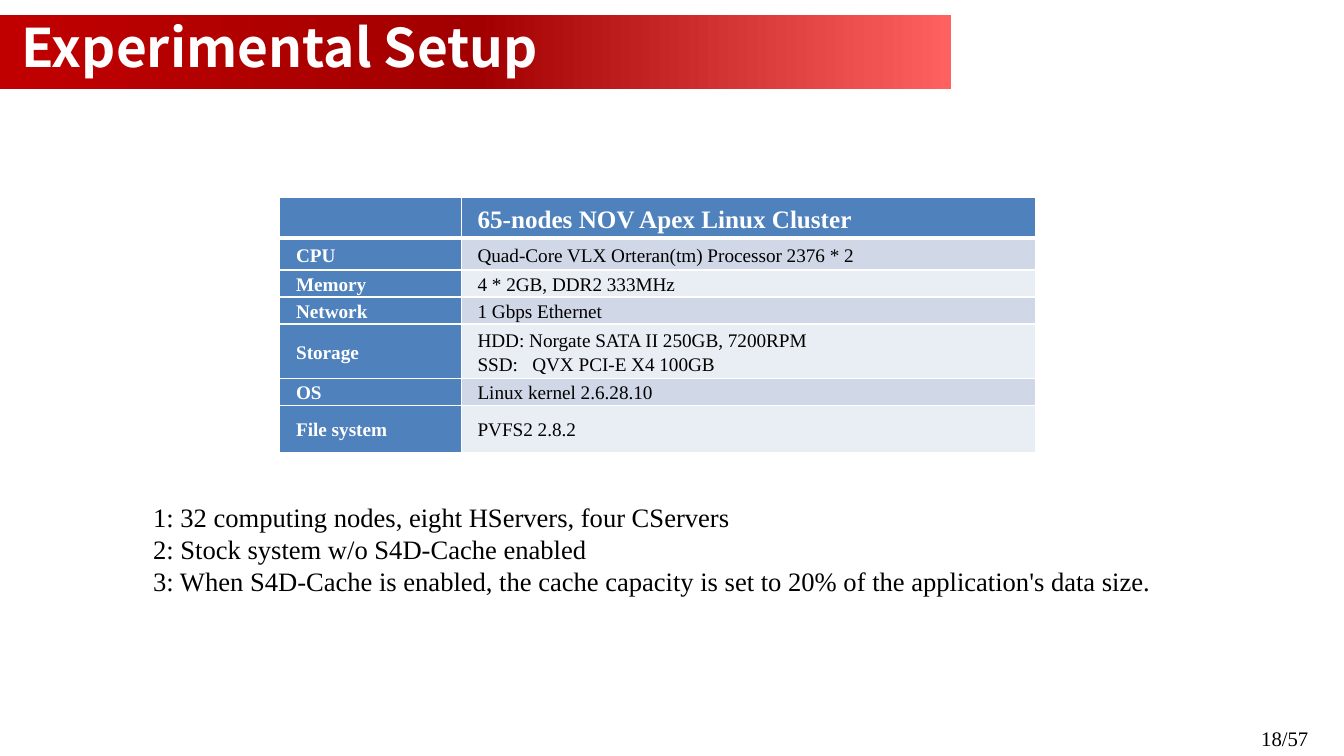
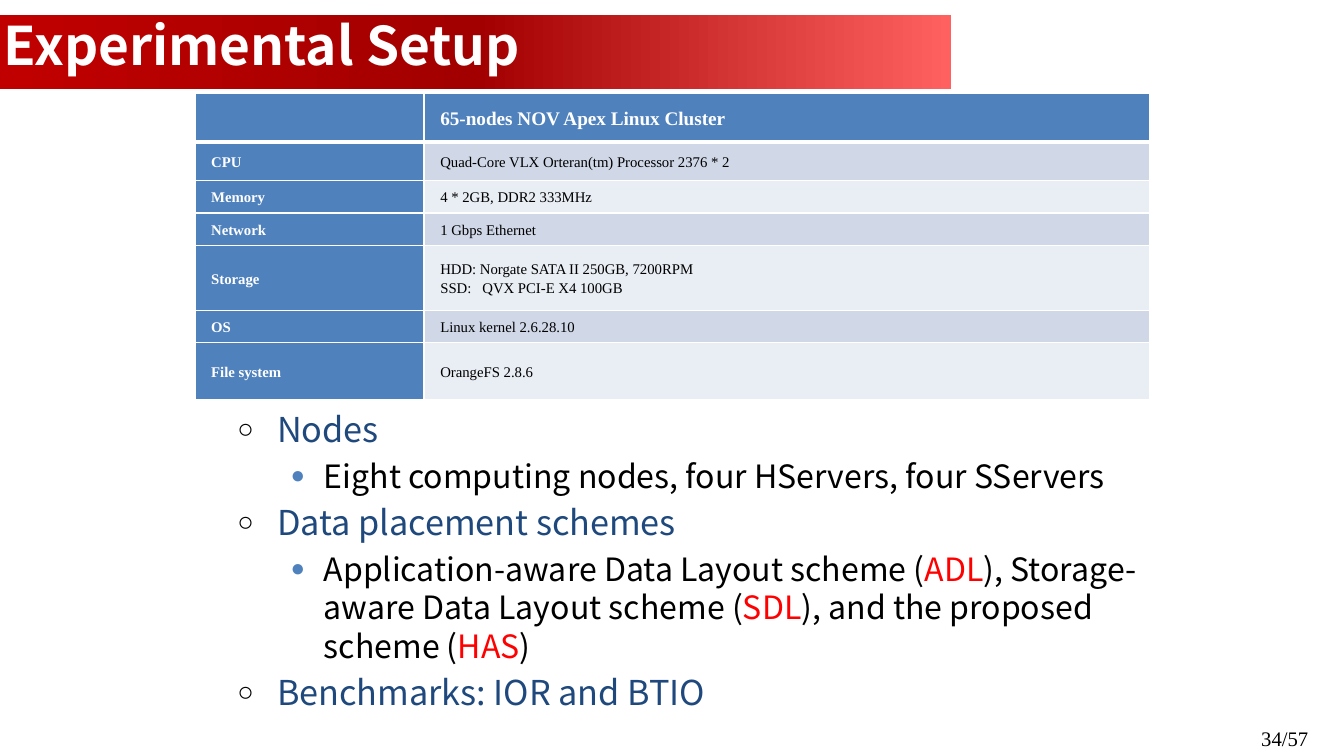
from lxml import etree
from pptx import Presentation
from pptx.dml.color import RGBColor
from pptx.enum import text as t
from pptx.oxml import ns
from pptx.util import Pt

WHITE = RGBColor(0xFF, 0xFF, 0xFF)
BLACK = RGBColor(0, 0, 0)
RED = RGBColor(0xFF, 0, 0)
NAVY = RGBColor(0x1F, 0x49, 0x7D)
BLUE = RGBColor(0x4F, 0x81, 0xBD)
STRIPES = (RGBColor(0xE9, 0xED, 0xF4), RGBColor(0xD0, 0xD8, 0xE8))
BAND_STOPS = (
    (0, RGBColor(0xFF, 0x61, 0x61)),
    (50, RGBColor(0xA2, 0, 0)),
    (100, RGBColor(0xC0, 0, 0)),
)
SANS = "Noto Sans CJK SC"
SERIF = "Times New Roman"
TITLE = "Experimental Setup"
PAGE_COUNT = 57

ROW_WEIGHTS = (40, 32, 27, 27, 54, 27, 47)
LABEL_SHARE = 0.24
CLUSTER = (
    ("", "65-nodes NOV Apex Linux Cluster"),
    ("CPU", "Quad-Core VLX Orteran(tm) Processor 2376 * 2"),
    ("Memory", "4 * 2GB, DDR2 333MHz"),
    ("Network", "1 Gbps Ethernet"),
    ("Storage", "HDD: Norgate SATA II 250GB, 7200RPM\nSSD:\tQVX PCI-E X4 100GB"),
    ("OS", "Linux kernel 2.6.28.10"),
)
NOTES = (
    "1: 32 computing nodes, eight HServers, four CServers",
    "2: Stock system w/o S4D-Cache enabled",
    "3: When S4D-Cache is enabled, the cache capacity is set to 20% "
    "of the application's data size.",
)
OUTLINE_GAP = 4.5
OUTLINE = (
    (0, ("Nodes",)),
    (1, ("Eight computing nodes, four HServers, four SServers",)),
    (0, ("Data placement schemes",)),
    (1, ("Application-aware Data Layout scheme (", "ADL",
         "), Storage-aware Data Layout scheme (", "SDL",
         "), and the proposed scheme (", "HAS", ")")),
    (0, ("Benchmarks: IOR and BTIO",)),
)
LEVELS = (
    dict(size=23.2, color=NAVY, left=27, hang=27,
         bullet="○", bullet_color=BLACK, bullet_size=80),
    dict(size=21.7, color=BLACK, left=58.5, hang=22.5,
         bullet="●", bullet_color=BLUE, bullet_size=75),
)


def sub(parent, tag, **attrs):
    element = etree.SubElement(parent, ns.qn("a:" + tag))
    for name, value in attrs.items():
        element.set(name, str(value))
    return element


def sub_color(parent, color):
    return sub(parent, "srgbClr", val=color)


def style(font, face, size, color, bold=False):
    font.name = face
    font.size = Pt(size)
    font.color.rgb = color
    font.bold = bold


def move(shape, box):
    shape.left, shape.top, shape.width, shape.height = (Pt(v) for v in box)


def add_band(s):
    builder = s.shapes.build_freeform(0, 10, scale=Pt(1))
    builder.add_line_segments([(644, 10), (644, 60), (0, 60.5)])
    band = builder.convert_to_shape()
    band.shadow.inherit = False
    band.line.fill.background()
    band.fill.gradient()
    band.fill.gradient_angle = 180
    stops = band._element.spPr.find(".//" + ns.qn("a:gsLst"))
    for stop in list(stops):
        stops.remove(stop)
    for position, color in BAND_STOPS:
        sub_color(sub(stops, "gs", pos=position * 1000), color)
    s.shapes._spTree.insert(2, band._element)


def add_title(s, box, bottom_inset):
    title = s.shapes.title
    move(title, box)
    tf = title.text_frame
    tf.text = TITLE
    tf.auto_size = t.MSO_AUTO_SIZE.NONE
    tf.vertical_anchor = t.MSO_ANCHOR.MIDDLE
    tf.margin_bottom = Pt(bottom_inset)
    p = tf.paragraphs[0]
    p.alignment = t.PP_ALIGN.LEFT
    style(p.runs[0].font, SANS, 36, WHITE, True)


def add_page_number(s, number):
    tf = s.shapes.add_textbox(Pt(682), Pt(486.5), Pt(211), Pt(24.5)).text_frame
    tf.word_wrap = True
    p = tf.paragraphs[0]
    p.text = f"{number}/{PAGE_COUNT}"
    p.alignment = t.PP_ALIGN.RIGHT
    p.line_spacing = 1.08
    style(p.runs[0].font, SERIF, 14, BLACK)


def start_slide(prs, number, title_box, bottom_inset):
    s = prs.slides.add_slide(prs.slide_layouts[1])
    add_band(s)
    add_title(s, title_box, bottom_inset)
    add_page_number(s, number)
    return s


def add_borders(cell, bottom):
    tcPr = cell._tc.get_or_add_tcPr()
    for side, width in (("lnL", 1), ("lnR", 1), ("lnT", 1), ("lnB", bottom)):
        line = sub(tcPr, side, w=Pt(width))
        sub_color(sub(line, "solidFill"), WHITE)


def fill_cell(cell, value, row, column, size):
    add_borders(cell, 3 if row == 0 else 1)
    is_header = row == 0 or column == 0
    cell.fill.solid()
    cell.fill.fore_color.rgb = BLUE if is_header else STRIPES[row % 2]
    cell.margin_left = cell.margin_right = Pt(11)
    cell.margin_top = cell.margin_bottom = 0
    cell.vertical_anchor = t.MSO_ANCHOR.MIDDLE
    cell.text_frame.text = value
    for p in cell.text_frame.paragraphs:
        p.line_spacing = 1.15
        if "\t" in p.text:
            tabs = sub(p._p.get_or_add_pPr(), "tabLst")
            sub(tabs, "tab", pos=Pt(size * 2.85), algn="l")
        for r in p.runs:
            style(r.font, SERIF, size, WHITE if is_header else BLACK, is_header)


def add_cluster_table(s, box, file_system, head_size, size):
    rows = CLUSTER + (("File system", file_system),)
    left, top, width, height = box
    table = s.shapes.add_table(
        len(rows), 2, Pt(left), Pt(top), Pt(width), Pt(height)).table
    table.horz_banding = False
    table.columns[0].width = Pt(width * LABEL_SHARE)
    table.columns[1].width = Pt(width * (1 - LABEL_SHARE))
    for i, (weight, values) in enumerate(zip(ROW_WEIGHTS, rows)):
        table.rows[i].height = Pt(height * weight / sum(ROW_WEIGHTS))
        for j, value in enumerate(values):
            fill_cell(table.cell(i, j), value, i, j, size if i else head_size)


def body_frame(s, box):
    body = s.placeholders[1]
    move(body, box)
    tf = body.text_frame
    tf.auto_size = t.MSO_AUTO_SIZE.NONE
    return tf


def add_notes(s, box):
    tf = body_frame(s, box)
    tf.text = "\n".join(NOTES)
    for p in tf.paragraphs:
        pPr = p._p.get_or_add_pPr()
        pPr.set("marL", "0")
        pPr.set("indent", "0")
        sub(pPr, "buNone")
        p.space_before = 0
        style(p.runs[0].font, SERIF, 18, BLACK)


def add_bullet(p, level):
    pPr = p._p.get_or_add_pPr()
    pPr.set("marL", str(Pt(level["left"])))
    pPr.set("indent", str(-Pt(level["hang"])))
    sub_color(sub(pPr, "buClr"), level["bullet_color"])
    sub(pPr, "buSzPct", val=level["bullet_size"] * 1000)
    sub(pPr, "buChar", char=level["bullet"])


def add_outline(s, box):
    tf = body_frame(s, box)
    for i, (depth, parts) in enumerate(OUTLINE):
        level = LEVELS[depth]
        p = tf.add_paragraph() if i else tf.paragraphs[0]
        p.level = depth
        add_bullet(p, level)
        p.line_spacing = 1.0
        p.space_before = Pt(OUTLINE_GAP if i else 0)
        for j, part in enumerate(parts):
            r = p.add_run()
            r.text = part
            style(r.font, SANS, level["size"], RED if j % 2 else level["color"])


def add_cache_setup(prs):
    s = start_slide(prs, 18, (7.5, 8, 894, 43), 0)
    add_cluster_table(s, (189.5, 134, 512, 172.5), "PVFS2 2.8.2", 17, 13)
    add_notes(s, (96.5, 335.5, 698, 94.5))


def add_layout_setup(prs):
    s = start_slide(prs, 34, (-4.5, 5, 648, 59), 13)
    add_cluster_table(s, (132, 63.5, 646.5, 207), "OrangeFS 2.8.6", 13, 10)
    add_outline(s, (153.5, 273, 659, 211))


def main():
    prs = Presentation()
    prs.slide_width, prs.slide_height = Pt(910), Pt(512)
    add_cache_setup(prs)
    add_layout_setup(prs)
    prs.save("out.pptx")


if __name__ == "__main__":
    main()
